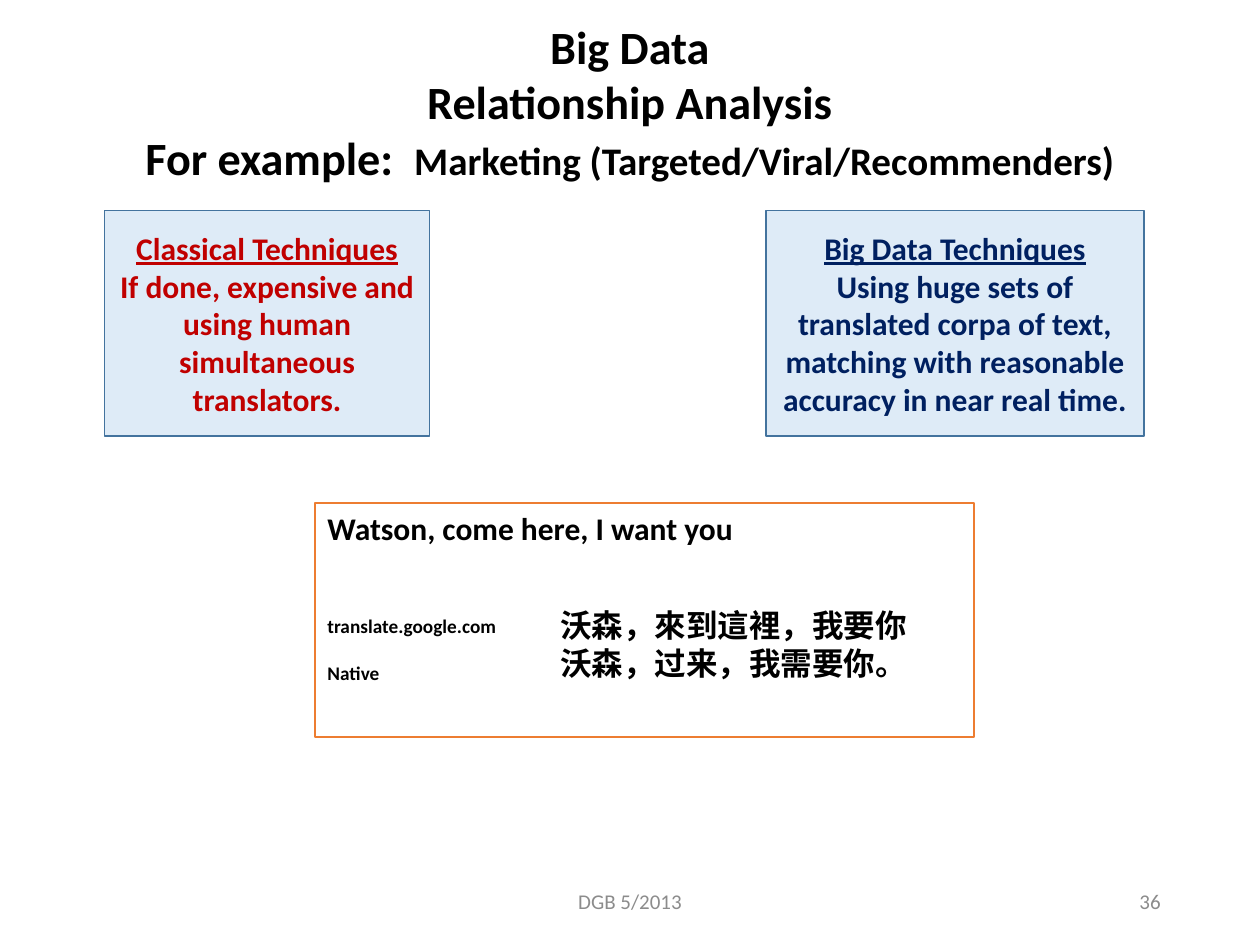
from pptx import Presentation
from pptx.dml.color import RGBColor
from pptx.enum.shapes import MSO_SHAPE
from pptx.enum.text import MSO_ANCHOR, PP_ALIGN
from pptx.util import Inches, Pt

RECT = MSO_SHAPE.RECTANGLE
TOP, MID = MSO_ANCHOR.TOP, MSO_ANCHOR.MIDDLE
LEFT, MIDDLE, RIGHT = PP_ALIGN.LEFT, PP_ALIGN.CENTER, PP_ALIGN.RIGHT
BLACK = RGBColor(0x00, 0x00, 0x00)
GRAY = RGBColor(0x8C, 0x8C, 0x8C)
RED = RGBColor(0xC0, 0x00, 0x00)
NAVY = RGBColor(0x00, 0x20, 0x60)
PALE = RGBColor(0xDE, 0xEB, 0xF7)
BLUE = RGBColor(0x43, 0x73, 0x9E)
ORANGE = RGBColor(0xED, 0x7D, 0x31)

TITLE = ["Big Data", "Relationship Analysis", "For example:  "]
TOPIC = "Marketing (Targeted/Viral/Recommenders)"
# left, width, colour, heading, body
CARDS = [
    (0.83, 2.58, RED, "Classical Techniques",
     "If done, expensive and using human simultaneous translators."),
    (6.08, 3, NAVY, "Big Data Techniques",
     "Using huge sets of translated corpa of text, matching with "
     "reasonable accuracy in near real time."),
]
CARD_TOP, CARD_H = 1.67, 1.79
FRAME = (2.5, 3.99, 5.23, 1.86)
# place, lines, size, gap between lines
SAMPLES = [
    ((4.35, 4.76, 3, 1.31), ["沃森，來到這裡，我要你", "沃森，过来，我需要你。"], 18, 0),
    ((2.5, 3.99, 3.45, 0.4), ["Watson, come here, I want you"], 18, 0),
    ((2.5, 4.83, 1.61, 0.66), ["translate.google.com", "Native"], 11, 13.4),
]
FOOTERS = [
    ((3.31, 6.95, 3.38, 0.4), "DGB 5/2013", MIDDLE),
    ((7.06, 6.95, 2.25, 0.4), "36", RIGHT),
]


def add_box(slide, place, line, fill=None):
    box = slide.shapes.add_shape(RECT, *map(Inches, place))
    box.shadow.inherit = False
    if fill is None:
        box.fill.background()
    else:
        box.fill.solid()
        box.fill.fore_color.rgb = fill
    box.line.color.rgb = line
    box.line.width = Pt(1)
    return box


def add_text(slide, place):
    return slide.shapes.add_textbox(*map(Inches, place))


def style(run, size, color, **extra):
    look = {"name": "Calibri", "size": Pt(size), "bold": True, **extra}
    for key, value in look.items():
        setattr(run.font, key, value)
    run.font.color.rgb = color


def write(shape, lines, size, color, align=LEFT, anchor=TOP, gap=0, head=False, **extra):
    """Set one paragraph per line; head underlines the first."""
    frame = shape.text_frame
    frame.word_wrap = True
    frame.vertical_anchor = anchor
    for i, line in enumerate(lines):
        para = frame.add_paragraph() if i else frame.paragraphs[0]
        para.alignment = align
        if i and gap:
            para.space_before = Pt(gap)
        run = para.add_run()
        run.text = line
        style(run, size, color, underline=head and i == 0, **extra)


def add_title(slide):
    frame = add_text(slide, (0.5, 0.18, 9, 1.25)).text_frame
    frame.word_wrap = True
    frame.vertical_anchor = MID
    para = frame.paragraphs[0]
    para.alignment = MIDDLE
    for i, line in enumerate(TITLE):
        if i:
            para.add_line_break()
        run = para.add_run()
        run.text = line
        style(run, 26.4, BLACK)
    run = para.add_run()
    run.text = TOPIC
    style(run, 22.3, BLACK)


def main():
    deck = Presentation()
    deck.slide_width, deck.slide_height = Inches(10), Inches(7.5)
    slide = deck.slides.add_slide(deck.slide_layouts[6])
    for place, text, align in FOOTERS:
        write(add_text(slide, place), [text], 12, GRAY, align, MID, bold=False)
    for left, width, color, head, body in CARDS:
        card = add_box(slide, (left, CARD_TOP, width, CARD_H), BLUE, PALE)
        write(card, [head, body], 18, color, MIDDLE, MID, head=True)
    add_title(slide)
    add_box(slide, FRAME, ORANGE)
    for place, lines, size, gap in SAMPLES:
        write(add_text(slide, place), lines, size, BLACK, gap=gap)
    deck.save("out.pptx")


if __name__ == "__main__":
    main()
